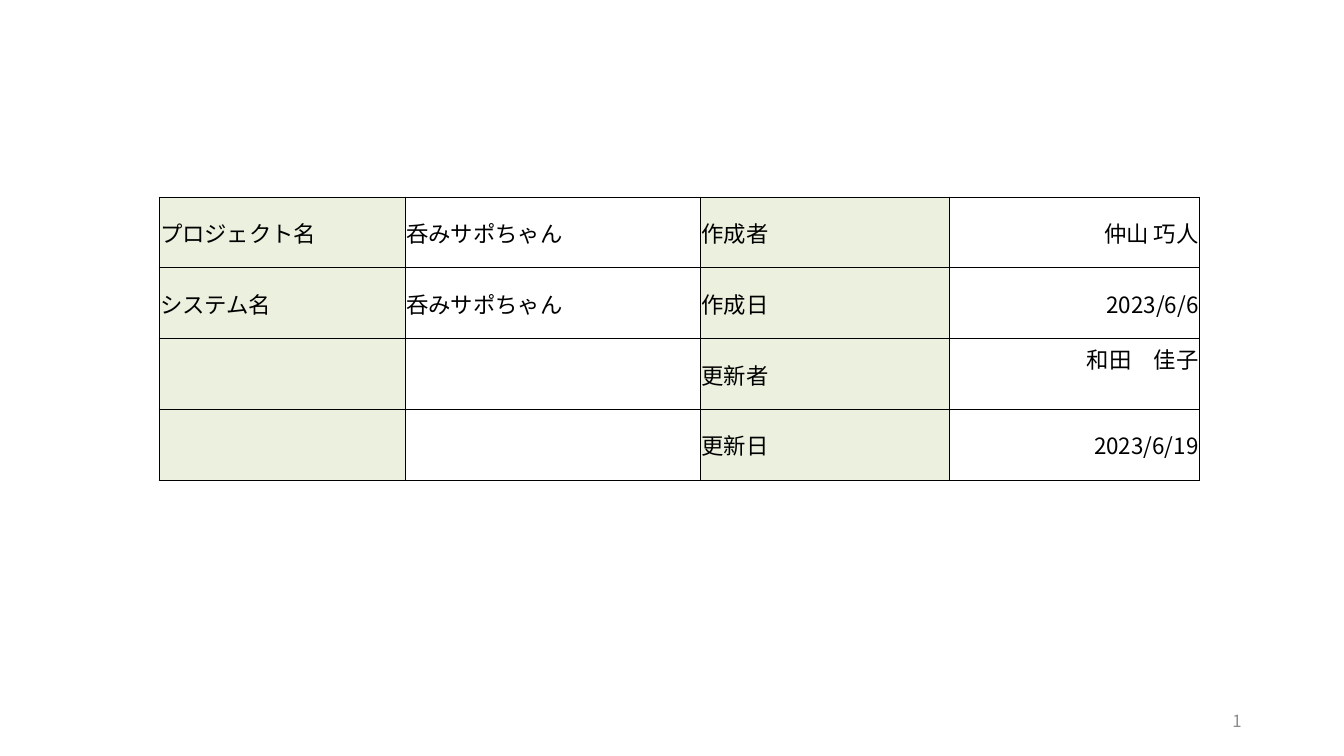
from lxml.etree import SubElement
from pptx import Presentation
from pptx.dml.color import RGBColor
from pptx.enum.text import MSO_ANCHOR, PP_ALIGN
from pptx.oxml.ns import qn
from pptx.util import Pt

COLORS = {"label": "EBF1DE", "value": "FFFFFF", "ink": "000000", "border": "000000", "number": "8C8C8C"}
FONT = "Noto Sans CJK JP"
COLUMN_WIDTHS = [175.9, 211, 177.9, 178.4]
ENTRIES = [
    ["プロジェクト名", "呑みサポちゃん", "作成者", "仲山 巧人"],
    ["システム名", "呑みサポちゃん", "作成日", "2023/6/6"],
    ["", "", "更新者", "和田　佳子"],
    ["", "", "更新日", "2023/6/19"],
]
UPDATER = (2, 3)
CELL_FORMAT = {
    "margin_left": Pt(0.7),
    "margin_right": Pt(0.7),
    "margin_top": Pt(0.7),
    "margin_bottom": Pt(0),
    "vertical_anchor": MSO_ANCHOR.MIDDLE,
}
NUMBER_FORMAT = {"word_wrap": True, "vertical_anchor": MSO_ANCHOR.MIDDLE}


def apply_format(target, values):
    """Set each named attribute of the target."""
    for name, value in values.items():
        setattr(target, name, value)


def style_text(paragraph, size, color, align):
    """Set the alignment and the Latin and East Asian font of a paragraph."""
    paragraph.alignment = align
    apply_format(paragraph.font, {"name": FONT, "size": Pt(size)})
    paragraph.font.color.rgb = RGBColor.from_string(COLORS[color])
    for run in paragraph.runs:
        apply_format(run.font, {"name": FONT, "size": Pt(size)})
        run.font.color.rgb = RGBColor.from_string(COLORS[color])
        SubElement(run.font._element, qn("a:ea"), typeface=FONT)


def add_borders(cell):
    """Draw a thin line on all four sides of a cell."""
    properties = cell._tc.get_or_add_tcPr()
    for position, side in enumerate(("lnL", "lnR", "lnT", "lnB")):
        line = SubElement(properties, qn(f"a:{side}"), w=str(Pt(0.5)))
        fill = SubElement(line, qn("a:solidFill"))
        SubElement(fill, qn("a:srgbClr"), val=COLORS["border"])
        properties.insert(position, line)


def add_project_table(slide, left, top, width, height):
    """Place the table of project details in the given box."""
    details = slide.shapes.add_table(
        len(ENTRIES), len(COLUMN_WIDTHS), Pt(left), Pt(top), Pt(width), Pt(height)
    ).table
    apply_format(details, {"first_row": False, "horz_banding": False})
    for column, share in zip(details.columns, COLUMN_WIDTHS):
        column.width = Pt(width * share / sum(COLUMN_WIDTHS))
    for row_index, entry in enumerate(ENTRIES):
        for column_index, wording in enumerate(entry):
            cell = details.cell(row_index, column_index)
            apply_format(cell, CELL_FORMAT)
            if (row_index, column_index) == UPDATER:
                cell.margin_bottom = Pt(22)
            cell.fill.solid()
            role = "value" if column_index % 2 else "label"
            cell.fill.fore_color.rgb = RGBColor.from_string(COLORS[role])
            add_borders(cell)
            cell.text = wording
            align = PP_ALIGN.RIGHT if column_index == 3 else PP_ALIGN.LEFT
            style_text(cell.text_frame.paragraphs[0], 16, "ink", align)


def add_page_number(slide, left, top, width, height):
    """Place the right-aligned page number in the given box."""
    frame = slide.shapes.add_textbox(Pt(left), Pt(top), Pt(width), Pt(height)).text_frame
    apply_format(frame, NUMBER_FORMAT)
    frame.text = "1"
    style_text(frame.paragraphs[0], 12, "number", PP_ALIGN.RIGHT)


def main():
    """Build the slide and save it."""
    deck = Presentation()
    apply_format(deck, {"slide_width": Pt(960), "slide_height": Pt(540)})
    slide = deck.slides.add_slide(deck.slide_layouts[6])
    add_page_number(slide, 678, 500.5, 216, 28.75)
    add_project_table(slide, 113.6, 140.6, 743.2, 202.4)
    deck.save("out.pptx")


if __name__ == "__main__":
    main()
